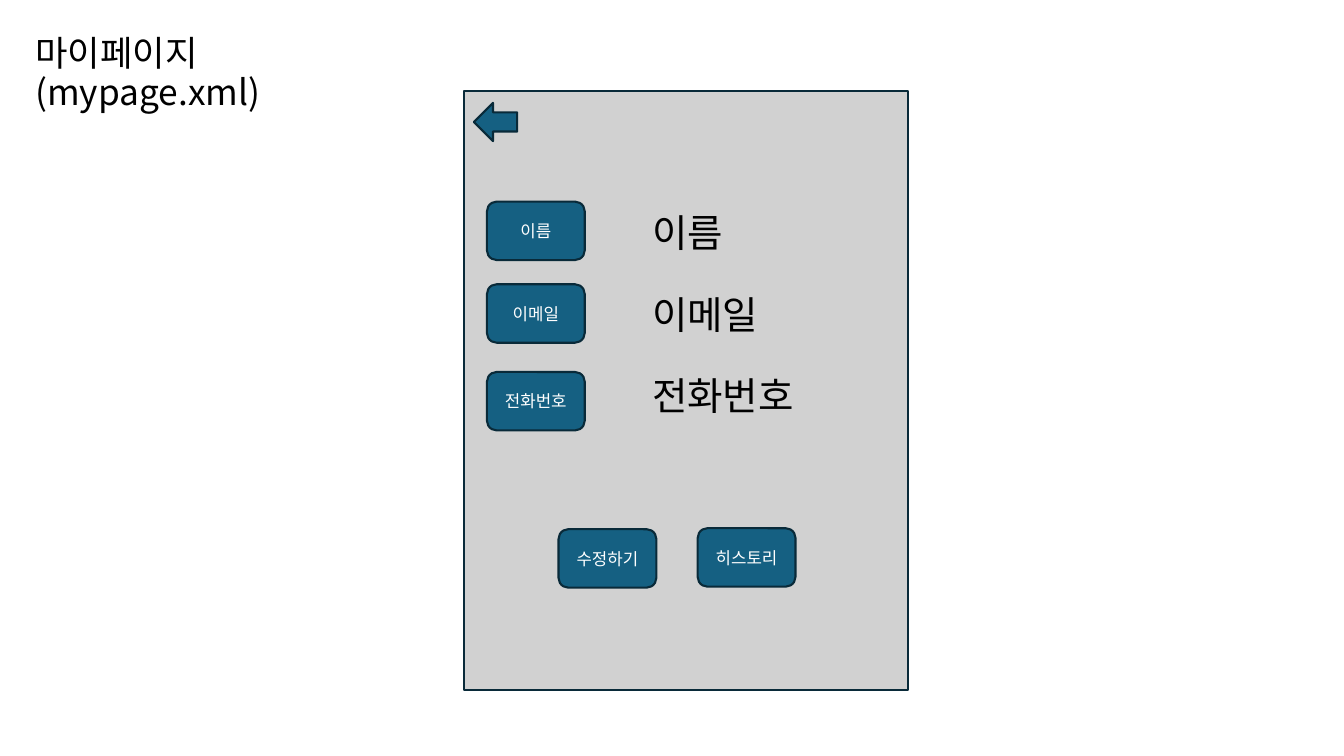
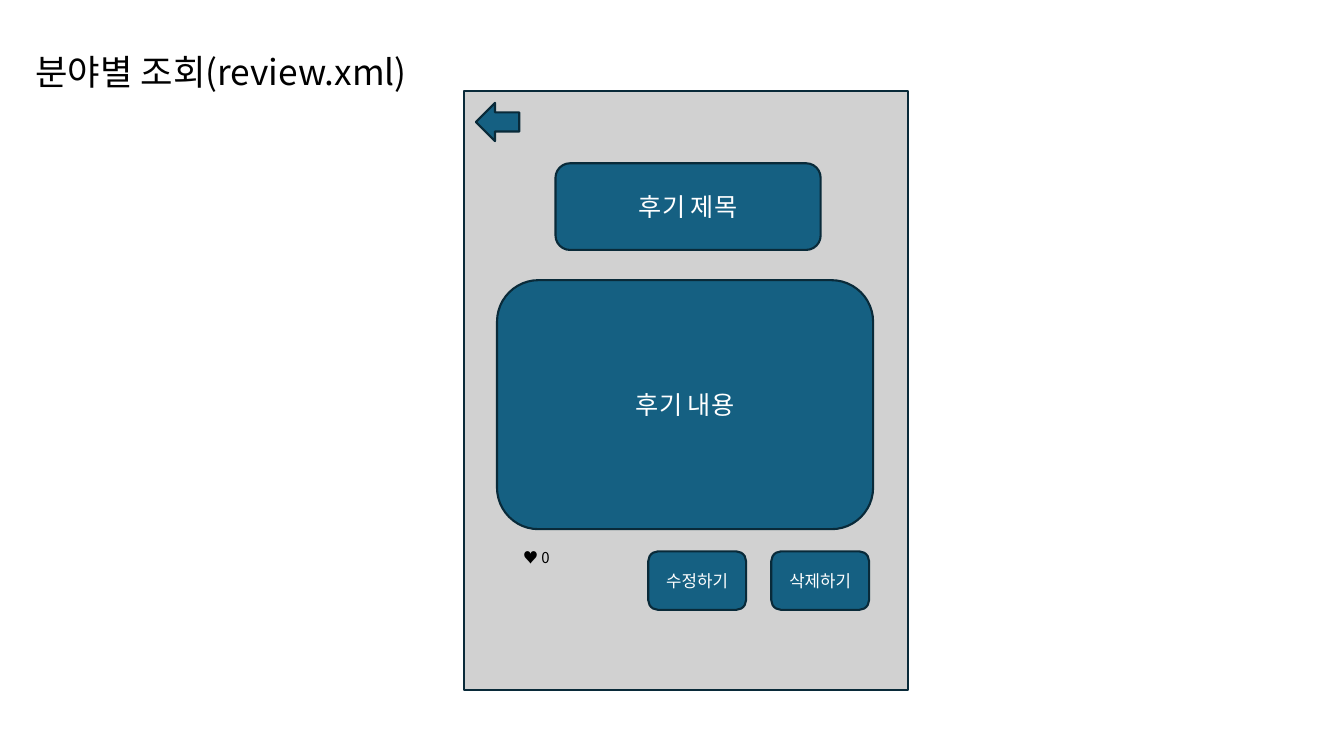
from dataclasses import dataclass
from lxml import etree
from pptx import Presentation
from pptx.dml.color import RGBColor
from pptx.enum.shapes import MSO_SHAPE
from pptx.enum.text import MSO_ANCHOR, MSO_AUTO_SIZE, PP_ALIGN
from pptx.oxml.ns import qn
from pptx.util import Inches, Pt


@dataclass(frozen=True)
class Theme:
    font: str = "Noto Sans CJK KR"
    ink: str = "000000"
    light: str = "FFFFFF"
    screen: str = "D1D1D1"
    accent: str = "156082"
    outline: str = "092A39"
    title_size: float = 25.2
    value_size: float = 27.5
    panel_size: float = 18
    button_size: float = 12
    like_size: float = 10.7
    line_width: float = 1.5


THEME = Theme()
SCREEN_BOX = (4.6, 0.9, 4.41, 5.95)
BUTTON_SIZE = (0.97, 0.58)


def write(shape, text, *, size, color=THEME.ink, align=PP_ALIGN.LEFT, spacing=1.0):
    frame = shape.text_frame
    frame.word_wrap = True
    frame.auto_size = MSO_AUTO_SIZE.NONE
    frame.vertical_anchor = MSO_ANCHOR.MIDDLE
    paragraph = frame.paragraphs[0]
    paragraph.alignment = align
    paragraph.line_spacing = spacing
    paragraph.space_before = Pt(0)
    run = paragraph.add_run()
    run.text = text
    run.font.size = Pt(size)
    run.font.name = THEME.font
    run.font.color.rgb = RGBColor.from_string(color)
    east_asian = etree.SubElement(run.font._element, qn("a:ea"))
    east_asian.set("typeface", THEME.font)


def place(box):
    """Turn a box given relative to the phone screen into slide lengths."""
    left, top, width, height = box
    return [Inches(n) for n in (SCREEN_BOX[0] + left, SCREEN_BOX[1] + top, width, height)]


def add_block(slide, kind, box, fill=THEME.accent):
    block = slide.shapes.add_shape(kind, *place(box))
    block.shadow.inherit = False
    block.fill.solid()
    block.fill.fore_color.rgb = RGBColor.from_string(fill)
    block.line.color.rgb = RGBColor.from_string(THEME.outline)
    block.line.width = Pt(THEME.line_width)
    return block


def add_panel(slide, text, box, size=THEME.panel_size):
    panel = add_block(slide, MSO_SHAPE.ROUNDED_RECTANGLE, box)
    write(panel, text, size=size, color=THEME.light, align=PP_ALIGN.CENTER)


def add_button(slide, text, left, top):
    add_panel(slide, text, (left, top, *BUTTON_SIZE), THEME.button_size)


def add_label(slide, text, box, size, spacing):
    write(slide.shapes.add_textbox(*place(box)), text, size=size, spacing=spacing)


def add_screen(deck, title, arrow_left):
    """Add a slide with its title, the empty phone screen and the back arrow."""
    slide = deck.slides.add_slide(deck.slide_layouts[5])
    heading = slide.shapes.title
    heading.left, heading.top = Inches(0.25), Inches(0.46)
    heading.width, heading.height = Inches(4.04), Inches(0.56)
    write(heading, title, size=THEME.title_size, spacing=0.9)
    add_block(slide, MSO_SHAPE.RECTANGLE, (0, 0, *SCREEN_BOX[2:]), THEME.screen)
    add_block(slide, MSO_SHAPE.LEFT_ARROW, (arrow_left, 0.12, 0.43, 0.38))
    return slide


def build_my_page(deck):
    slide = add_screen(deck, "마이페이지(mypage.xml)", 0.1)
    fields = (("이름", 1.1, 1.23), ("이메일", 1.92, 2.05), ("전화번호", 2.79, 2.85))
    for field, button_top, value_top in fields:
        add_button(slide, field, 0.23, button_top)
        add_label(slide, field, (1.77, value_top, 2.07, 0.45), THEME.value_size, 0.7)
    add_button(slide, "수정하기", 0.94, 4.35)
    add_button(slide, "히스토리", 2.32, 4.34)


def build_review(deck):
    slide = add_screen(deck, "분야별 조회(review.xml)", 0.12)
    add_panel(slide, "후기 제목", (0.91, 0.72, 2.63, 0.86))
    add_panel(slide, "후기 내용", (0.33, 1.88, 3.73, 2.47))
    add_label(slide, "♥ 0", (0.49, 4.35, 0.55, 0.58), THEME.like_size, 0.9)
    for action, left in (("수정하기", 1.83), ("삭제하기", 3.05)):
        add_button(slide, action, left, 4.57)


def main():
    deck = Presentation()
    deck.slide_width, deck.slide_height = Inches(13.33), Inches(7.5)
    build_my_page(deck)
    build_review(deck)
    deck.save("out.pptx")


if __name__ == "__main__":
    main()
